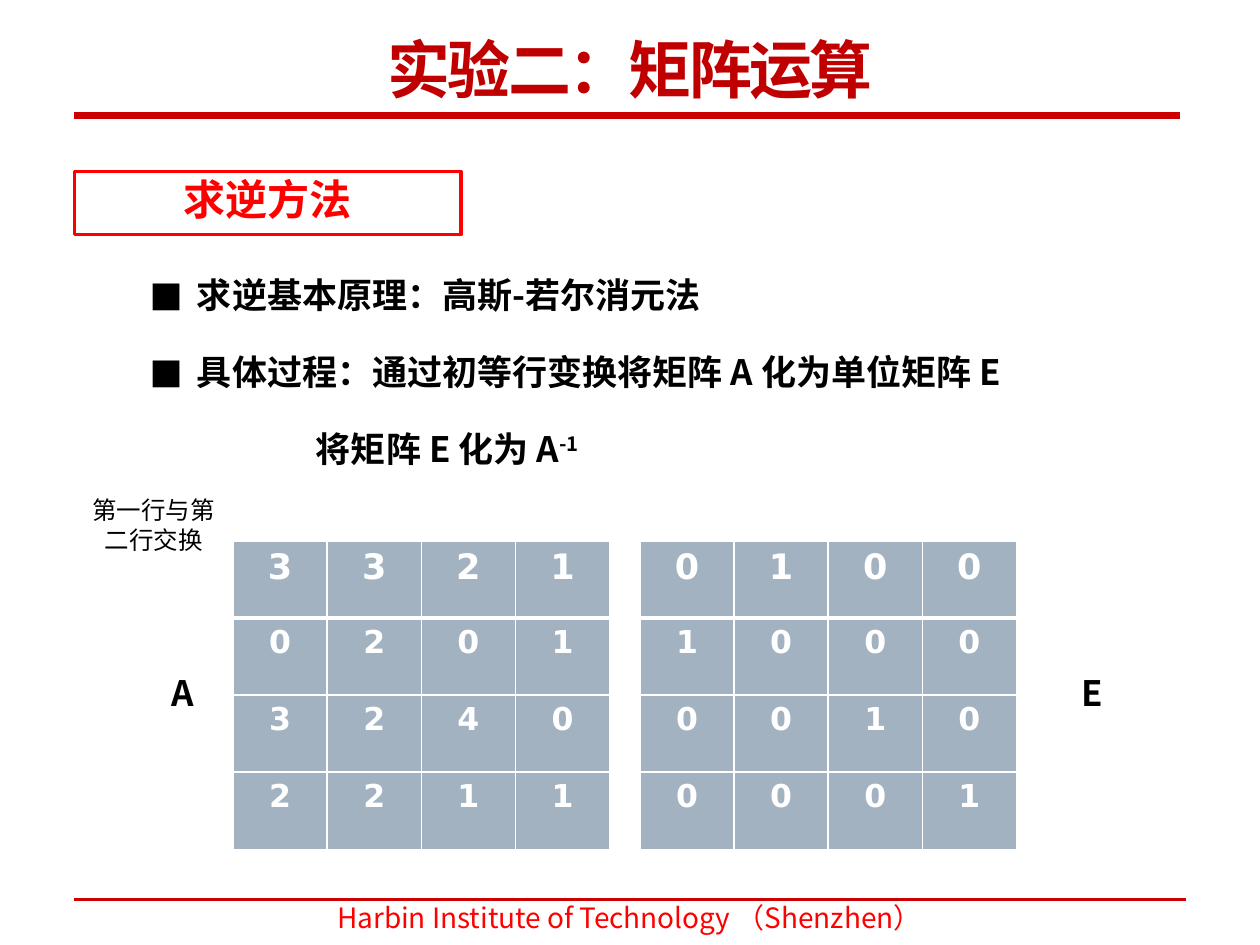
import pptx
import pptx.dml.color
import pptx.enum.shapes
import pptx.enum.text
import pptx.oxml.ns
import pptx.util
from lxml import etree

Pt = pptx.util.Pt
RGBColor = pptx.dml.color.RGBColor
ALIGN = pptx.enum.text.PP_ALIGN
ANCHOR = pptx.enum.text.MSO_ANCHOR
qn = pptx.oxml.ns.qn

RULE_RED = RGBColor(0xCC, 0, 0)
TITLE_RED = RGBColor(0xC0, 0, 0)
RED = RGBColor(0xFF, 0, 0)
BLACK = RGBColor(0, 0, 0)
WHITE = RGBColor(0xFF, 0xFF, 0xFF)
CELL_GREY = RGBColor(0xA3, 0xB2, 0xC1)
SANS, CJK, FOOTER_FONT = "DejaVu Sans", "Noto Sans CJK SC", "Noto Sans CJK JP"
BODY = {"size": Pt(20), "bold": True, "name": CJK}
SPACED = {"space_before": Pt(12), "space_after": Pt(12), "line_spacing": 0.83}
CENTRED = {"alignment": ALIGN.CENTER}
TIGHT = {"alignment": ALIGN.CENTER, "line_spacing": 0.83}


def set_format(target, values):
    """Set each named attribute of the target."""
    for name, value in values.items():
        setattr(target, name, value)


def add_span(para, text, color, font):
    """Append formatted text to a paragraph and return the span."""
    span = para.add_run()
    span.text = text
    set_format(span.font, font)
    span.font.color.rgb = color
    east_asian = CJK if font["name"] == SANS else font["name"]
    etree.SubElement(span.font._element, qn("a:ea"), typeface=east_asian)
    return span


def add_text(page, box, text, color, font, layout, anchor=ANCHOR.TOP):
    """Place a one-paragraph text box and return its paragraph."""
    frame = page.shapes.add_textbox(*map(Pt, box)).text_frame
    set_format(frame, {"word_wrap": True, "vertical_anchor": anchor})
    para = frame.paragraphs[0]
    set_format(para, layout)
    add_span(para, text, color, font)
    return para


def add_rule(page, left, top, width, weight):
    """Draw a horizontal red rule."""
    rule = page.shapes.add_connector(
        pptx.enum.shapes.MSO_CONNECTOR.STRAIGHT, Pt(left), Pt(top), Pt(left + width), Pt(top))
    rule.line.color.rgb = RULE_RED
    rule.line.width = Pt(weight)
    etree.SubElement(rule._element.spPr, qn("a:effectLst"))


def add_header(page, left, top, width, height):
    """Place the slide title above its rule."""
    para = add_text(page, (left + 39.6, top, width - 76, height), "实验二：矩阵运算", TITLE_RED,
                    {"size": Pt(36), "bold": True, "name": SANS}, CENTRED, ANCHOR.BOTTOM)
    para.runs[0].font._element.set("spc", "-150")
    add_rule(page, left, top + height + 2, width, 4)


def add_footer(page, left, top, width, height):
    """Place the institute name under the lower rule."""
    add_rule(page, left, top, width, 2.25)
    add_text(page, (left + 79.2, top, width - 159, height),
             "Harbin Institute of Technology （Shenzhen）", RED,
             {"size": Pt(16), "name": FOOTER_FONT}, TIGHT)


def add_heading(page, left, top, width, height):
    """Place the outlined section heading."""
    shape = page.shapes.add_shape(
        pptx.enum.shapes.MSO_SHAPE.RECTANGLE, *map(Pt, (left, top, width, height)))
    shape.shadow.inherit = False
    shape.fill.background()
    shape.line.color.rgb = RED
    shape.line.width = Pt(2)
    shape.text_frame.vertical_anchor = ANCHOR.MIDDLE
    para = shape.text_frame.paragraphs[0]
    set_format(para, TIGHT)
    add_span(para, "求逆方法", RED, {"size": Pt(24), "bold": True, "name": CJK})


def add_method(page, left, top, width, height):
    """Place the two bullets and their indented continuation."""
    frame = page.shapes.add_textbox(*map(Pt, (left, top, width, height))).text_frame
    frame.word_wrap = True
    lines = [("求逆基本原理：高斯-若尔消元法", True),
             ("具体过程：通过初等行变换将矩阵 A 化为单位矩阵 E", True),
             ("将矩阵 E 化为 A", False)]
    for index, (text, bulleted) in enumerate(lines):
        para = frame.add_paragraph() if index else frame.paragraphs[0]
        set_format(para, SPACED)
        add_span(para, text, BLACK, BODY)
        props = para._p.get_or_add_pPr()
        props.set("marL", str(Pt(63 if bulleted else 131)))
        props.set("indent", str(Pt(-27 if bulleted else 0)))
        if bulleted:
            etree.SubElement(props, qn("a:buFont"), typeface=SANS)
            etree.SubElement(props, qn("a:buChar"), char="■")
    power = add_span(para, "-1", BLACK, BODY)
    power.font._element.set("baseline", "30000")


def add_border(cell, side, weight):
    """Draw one white cell border."""
    line = etree.Element(qn("a:" + side), w=str(Pt(weight)))
    fill = etree.SubElement(line, qn("a:solidFill"))
    etree.SubElement(fill, qn("a:srgbClr"), val=str(WHITE))
    return line


def add_matrix(page, left, top, width, height, rows):
    """Place a matrix as a table of equal cells."""
    table = page.shapes.add_table(
        len(rows), len(rows[0]), *map(Pt, (left, top, width, height))).table
    for row_index, values in enumerate(rows):
        table.rows[row_index].height = Pt(height / len(rows))
        for column_index, value in enumerate(values):
            cell = table.cell(row_index, column_index)
            para = cell.text_frame.paragraphs[0]
            set_format(para, CENTRED)
            add_span(para, value, WHITE,
                     {"size": Pt(18 if row_index else 20), "bold": True, "name": SANS})
            cell.fill.solid()
            cell.fill.fore_color.rgb = CELL_GREY
            weights = {"lnL": 1, "lnR": 1, "lnT": 3 if row_index == 1 else 1,
                       "lnB": 1 if row_index else 3}
            for position, (side, weight) in enumerate(weights.items()):
                cell._tc.get_or_add_tcPr().insert(position, add_border(cell, side, weight))


def add_elimination(page, left, top, width, height):
    """Place both matrices, their names and the row operation."""
    matrices = [("A", 0, -43.2, ["3321", "0201", "3240", "2211"]),
                ("E", width - 215.2, width + 29, ["0100", "1000", "0010", "0001"])]
    for name, offset, name_offset, rows in matrices:
        add_matrix(page, left + offset, top, 215.2, height, rows)
        add_text(page, (left + name_offset - 0.5, top + 75, 30, 31.6), name, BLACK, BODY, TIGHT)
    add_text(page, (left - 90.7, top - 29.5, 90.7, 41), "第一行与第二行交换", BLACK,
             {"size": Pt(14), "name": SANS}, CENTRED)


def build_deck():
    """Build and save the one-page deck."""
    deck = pptx.Presentation()
    deck.slide_width, deck.slide_height = Pt(720), Pt(540)
    page = deck.slides.add_slide(deck.slide_layouts[6])
    add_header(page, 42.5, 15, 632, 49)
    add_heading(page, 42.5, 98, 221, 36)
    add_method(page, 42.5, 157, 629.3, 128)
    add_elimination(page, 133.2, 309, 447.7, 176.4)
    add_footer(page, 42.5, 514, 635, 26)
    deck.save("out.pptx")


build_deck()
